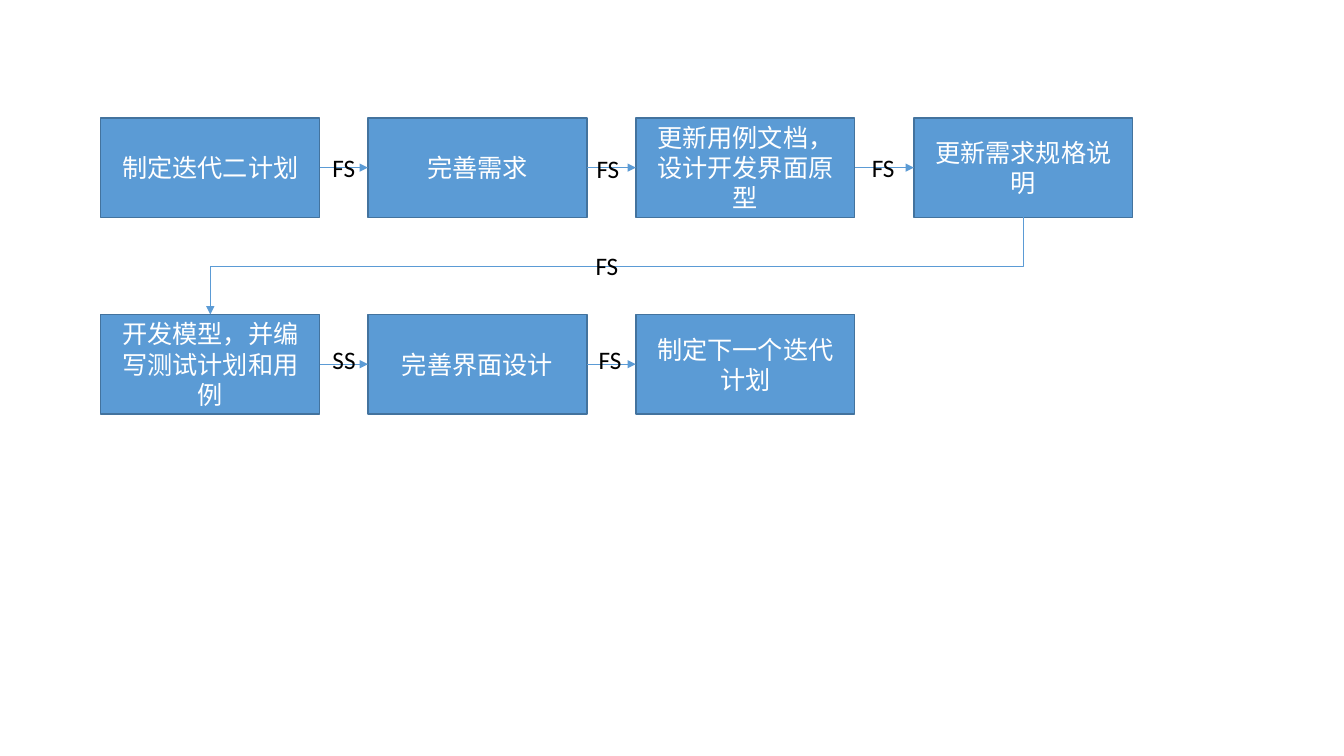
from lxml.etree import SubElement
from pptx import Presentation
from pptx.dml.color import RGBColor
from pptx.enum.shapes import MSO_CONNECTOR, MSO_SHAPE
from pptx.enum.text import MSO_ANCHOR, MSO_AUTO_SIZE, PP_ALIGN
from pptx.oxml.ns import qn
from pptx.util import Pt

STEP_WIDTH, STEP_HEIGHT = 156.4, 71.1
COLUMNS = [72, 262.8, 454.2, 652.8]
ROWS = [84.2, 224.6]
TOP, LEFT, BOTTOM, RIGHT = range(4)  # connection sites of a rectangle

STEPS = [
    ["制定迭代二计划", "完善需求", "更新用例文档，设计开发界面原型", "更新需求规格说明"],
    ["开发模型，并编写测试计划和用例", "完善界面设计", "制定下一个迭代计划"],
]
# Dependency type with the left and top of its label, in flow order
DEPENDENCIES = [
    ("FS", 230.4, 105.1), ("FS", 419, 105.8), ("FS", 615.6, 105.1),
    ("FS", 418.3, 175),
    ("SS", 230.4, 242.6), ("FS", 420.5, 242.6),
]


def color(value):
    """Turn a hex string into a colour."""
    return RGBColor.from_string(value)


class FlowSlide:
    """Style and drawing methods for the flow on one slide."""

    font, size = "Calibri", 18
    fill, outline, link = "5B9BD5", "43739E", "5B9BD5"
    step_text, label_text = "FFFFFF", "000000"

    def __init__(self, slide):
        """Keep the slide to draw on."""
        self.shapes = slide.shapes

    def set_text(self, frame, text, hex_color, align):
        """Put one styled paragraph in a text frame."""
        frame.word_wrap = True
        paragraph = frame.paragraphs[0]
        paragraph.text = text
        paragraph.alignment = align
        paragraph.font.name = self.font
        paragraph.font.size = Pt(self.size)
        paragraph.font.color.rgb = color(hex_color)

    def step(self, text, left, top):
        """Draw a step of the flow and return its box."""
        box = self.shapes.add_shape(MSO_SHAPE.RECTANGLE, Pt(left), Pt(top),
                                    Pt(STEP_WIDTH), Pt(STEP_HEIGHT))
        box.shadow.inherit = False
        box.fill.solid()
        box.fill.fore_color.rgb = color(self.fill)
        box.line.color.rgb = color(self.outline)
        box.line.width = Pt(1)
        box.text_frame.vertical_anchor = MSO_ANCHOR.MIDDLE
        self.set_text(box.text_frame, text, self.step_text, PP_ALIGN.CENTER)
        return box

    def arrow(self, kind, source, source_site, target, target_site):
        """Join two steps with an arrow glued to both."""
        arrow = self.shapes.add_connector(kind, 0, 0, 0, 0)
        arrow.begin_connect(source, source_site)
        arrow.end_connect(target, target_site)
        arrow.line.color.rgb = color(self.link)
        arrow.line.width = Pt(0.5)
        properties = arrow._element.spPr
        SubElement(properties.find(qn("a:ln")), qn("a:tailEnd"), type="triangle")
        SubElement(properties, qn("a:effectLst"))
        return arrow

    def row_arrow(self, source, target):
        """Join two neighbours in a row."""
        self.arrow(MSO_CONNECTOR.STRAIGHT, source, RIGHT, target, LEFT)

    def return_arrow(self, source, target):
        """Lead from the end of a row down to the start of the next one."""
        arrow = self.arrow(MSO_CONNECTOR.ELBOW, source, BOTTOM, target, TOP)
        span, drop = arrow.width, arrow.height
        center_x, center_y = arrow.left + span // 2, arrow.top + drop // 2
        # A quarter turn makes the elbow leave and arrive vertically
        arrow.left, arrow.top = center_x - drop // 2, center_y - span // 2
        arrow.width, arrow.height = drop, span
        xfrm = arrow._element.spPr.find(qn("a:xfrm"))
        xfrm.flipH = xfrm.flipV = False
        xfrm.set("rot", str(90 * 60000))

    def label(self, text, left, top):
        """Put the dependency type on an arrow."""
        box = self.shapes.add_textbox(Pt(left), Pt(top), Pt(32.4), Pt(29))
        box.text_frame.auto_size = MSO_AUTO_SIZE.SHAPE_TO_FIT_TEXT
        self.set_text(box.text_frame, text, self.label_text, PP_ALIGN.LEFT)


presentation = Presentation()
presentation.slide_width, presentation.slide_height = Pt(960), Pt(540)
flow = FlowSlide(presentation.slides.add_slide(presentation.slide_layouts[6]))

first_row, second_row = [
    [flow.step(text, left, top) for text, left in zip(texts, COLUMNS)]
    for texts, top in zip(STEPS, ROWS)
]
for row in (first_row, second_row):
    for source, target in zip(row, row[1:]):
        flow.row_arrow(source, target)
flow.return_arrow(first_row[-1], second_row[0])
for dependency in DEPENDENCIES:
    flow.label(*dependency)

presentation.save("out.pptx")
